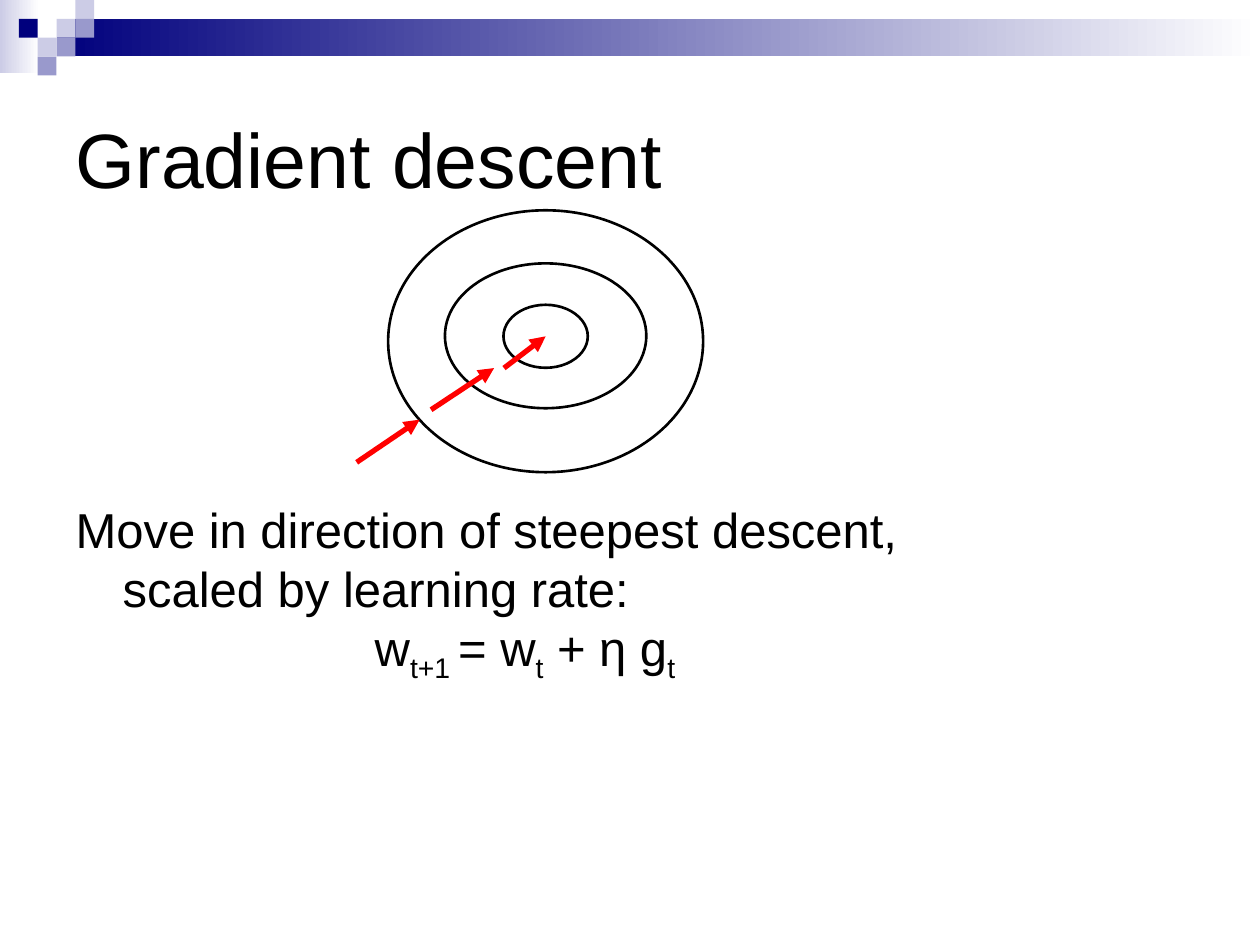
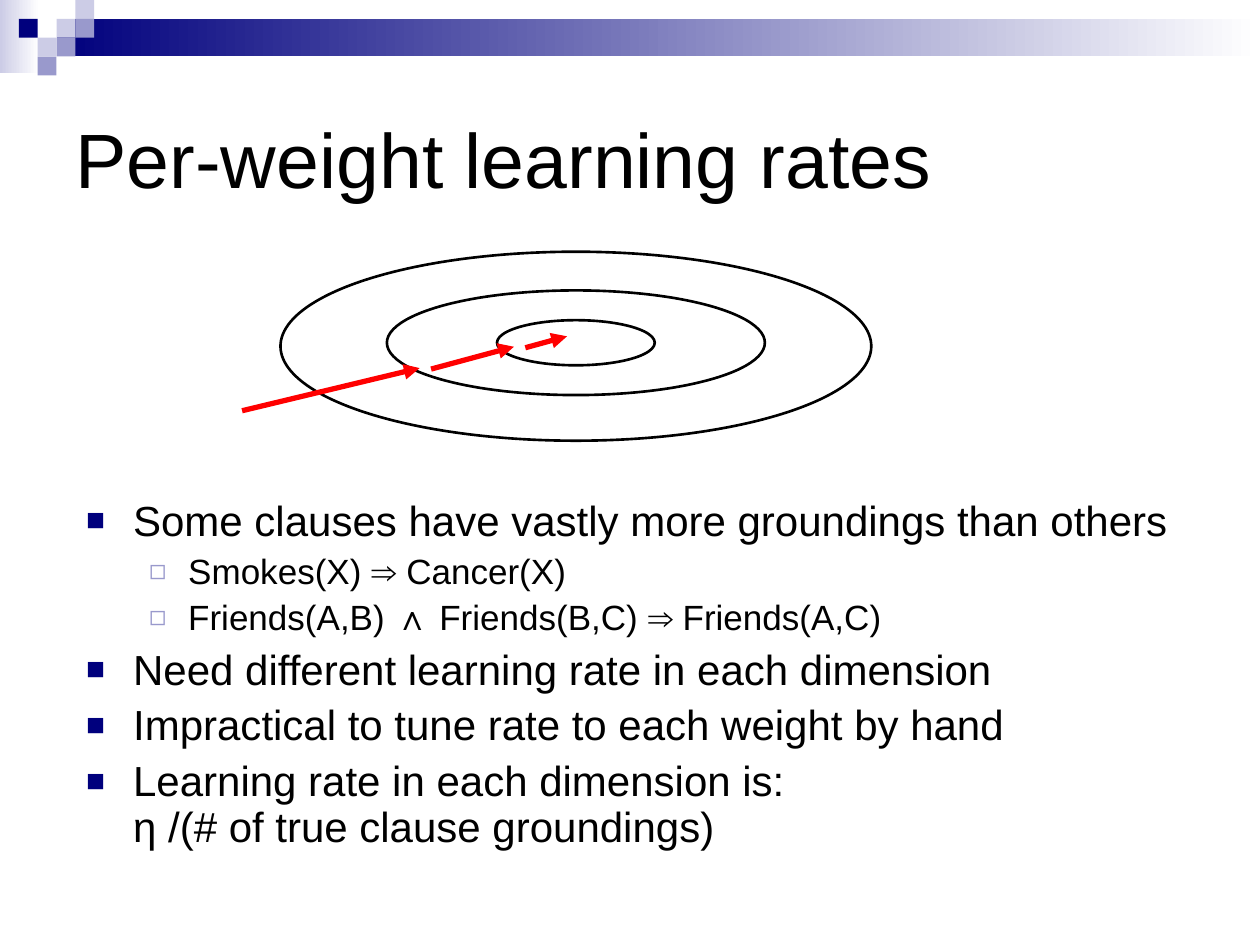
"""Build two slides on gradient descent and per-weight learning rates."""
import lxml.etree
import pptx
import pptx.dml.color
import pptx.enum.shapes
import pptx.enum.text
import pptx.oxml.ns
import pptx.util

Cm = pptx.util.Cm
Pt = pptx.util.Pt
qn = pptx.oxml.ns.qn


def rgb(hex_code):
    return pptx.dml.color.RGBColor.from_string(hex_code)


def add_xml(parent, tag, **attributes):
    return lxml.etree.SubElement(parent, qn(tag), attributes)


class Deck:
    FONT = "Arial"
    BLACK, RED, WHITE = "000000", "FF0000", "FFFFFF"
    NAVY, LAVENDER, PALE = "00007D", "9999CC", "CCCCE6"
    CELL = 0.38
    MOSAIC = [(3, 1, PALE), (4, 0, PALE), (4, 1, LAVENDER), (2, 2, PALE),
              (1, 1, NAVY), (3, 2, LAVENDER), (2, 3, LAVENDER)]
    LEVELS = [dict(size=24, indent=0.95, hang=0.95, before=6,
                   mark="■", colour=NAVY, scale="75000"),
              dict(size=20, indent=2.06, hang=0.79, before=5,
                   mark="◻", colour=LAVENDER, scale="80000")]

    def __init__(self):
        self.file = pptx.Presentation()
        self.file.slide_width, self.file.slide_height = Cm(25.4), Cm(19.05)
        self.layout = self.file.slide_layouts[1]
        self.slide = None

    def start(self, title):
        first = self.slide is None
        self.slide = self.file.slides.add_slide(self.layout)
        if first:
            self.header()
        heading = self.place(self.slide.shapes.title, 1.27, 1.27, 22.86, 3.81)
        heading.vertical_anchor = pptx.enum.text.MSO_ANCHOR.MIDDLE
        heading.text = title
        heading.paragraphs[0].alignment = pptx.enum.text.PP_ALIGN.LEFT
        self.style_runs(heading.paragraphs[0], 44)

    def header(self):
        parts = [self.fade(0, 0, 0.79, 1.47, self.PALE),
                 self.fade(1.14, 0.38, 24.26, 0.76, self.NAVY)]
        for column, row, colour in self.MOSAIC:
            square = self.shape("RECTANGLE", column * self.CELL, row * self.CELL,
                                self.CELL, self.CELL)
            square.fill.solid()
            square.fill.fore_color.rgb = rgb(colour)
            parts.append(square)
        for number, part in enumerate(parts, 101):
            part.element.nvSpPr.cNvPr.set("id", str(number))
            self.layout.shapes.element.append(part.element)

    def fade(self, left, top, width, height, colour):
        band = self.shape("RECTANGLE", left, top, width, height)
        band.fill.gradient()
        band.fill.gradient_angle = 0
        for stop, shade in zip(band.fill.gradient_stops, (colour, self.WHITE)):
            stop.color.rgb = rgb(shade)
        return band

    def shape(self, kind, left, top, width, height):
        shape = self.slide.shapes.add_shape(
            getattr(pptx.enum.shapes.MSO_SHAPE, kind),
            Cm(left), Cm(top), Cm(width), Cm(height))
        shape.shadow.inherit = False
        shape.line.fill.background()
        return shape

    def place(self, holder, left, top, width, height):
        holder.left, holder.top = Cm(left), Cm(top)
        holder.width, holder.height = Cm(width), Cm(height)
        frame = holder.text_frame
        frame.word_wrap = True
        frame.auto_size = pptx.enum.text.MSO_AUTO_SIZE.NONE
        return frame

    def body(self, left, top, width, height):
        return self.place(self.slide.placeholders[1], left, top, width, height)

    def style_runs(self, paragraph, size):
        for run in paragraph.runs:
            run.font.name = self.FONT
            run.font.size = Pt(size)
            run.font.color.rgb = rgb(self.BLACK)
        for line_break in paragraph._p.findall(qn("a:br")):
            add_xml(line_break, "a:rPr", sz=str(size * 100))

    def indent(self, paragraph, left, hang):
        properties = paragraph._p.get_or_add_pPr()
        properties.set("marL", str(Cm(left)))
        properties.set("indent", str(-Cm(hang)))
        return properties

    def plain(self, paragraph, left, hang, size=28):
        add_xml(self.indent(paragraph, left, hang), "a:buNone")
        paragraph.space_before = Pt(0)
        self.style_runs(paragraph, size)

    def rule(self, frame, statement, pieces):
        frame.text = statement
        self.plain(frame.paragraphs[0], 0.95, 0.95)
        formula = frame.add_paragraph()
        for text, is_subscript in pieces:
            run = formula.add_run()
            run.text = text
            if is_subscript:
                run.font._element.set("baseline", "-25000")
        self.plain(formula, 6.03, 0)

    def bullets(self, frame, items):
        for index, (level, text) in enumerate(items):
            look = self.LEVELS[level]
            paragraph = frame.add_paragraph() if index else frame.paragraphs[0]
            paragraph.text = text
            paragraph.level = level
            properties = self.indent(paragraph, look["indent"], look["hang"])
            add_xml(add_xml(properties, "a:buClr"), "a:srgbClr", val=look["colour"])
            add_xml(properties, "a:buSzPct", val=look["scale"])
            add_xml(properties, "a:buFont", typeface=self.FONT)
            add_xml(properties, "a:buChar", char=look["mark"])
            paragraph.line_spacing = 0.9
            paragraph.space_before = Pt(look["before"] if index else 0)
            self.style_runs(paragraph, look["size"])

    def contours(self, centre_x, rings):
        for centre_y, width, height in rings:
            ring = self.shape("OVAL", centre_x - width / 2, centre_y - height / 2,
                              width, height)
            ring.fill.background()
            ring.line.color.rgb = rgb(self.BLACK)
            ring.line.width = Pt(1.5)

    def steps(self, arrows):
        for ends in arrows:
            step = self.slide.shapes.add_connector(
                pptx.enum.shapes.MSO_CONNECTOR.STRAIGHT, *map(Cm, ends))
            step.line.color.rgb = rgb(self.RED)
            step.line.width = Pt(3)
            add_xml(step.line._get_or_add_ln(), "a:tailEnd", type="triangle")
            add_xml(step.element.spPr, "a:effectLst")


def main():
    deck = Deck()

    deck.start("Gradient descent")
    deck.rule(
        deck.body(1.27, 9.95, 22.86, 6.35),
        "Move in direction of steepest descent,\vscaled by learning rate:",
        [("w", False), ("t+1 ", True), ("= w", False), ("t", True),
         (" + η g", False), ("t", True)])
    deck.contours(11, [(6.88, 6.35, 5.28), (6.77, 4.06, 2.92), (6.78, 1.7, 1.27)])
    deck.steps([(8.69, 8.26, 9.96, 7.42), (10.16, 7.42, 11, 6.78),
                (7.19, 9.32, 8.46, 8.46)])

    deck.start("Per-weight learning rates")
    deck.bullets(deck.body(1.48, 9.95, 22.65, 7.82), [
        (0, "Some clauses have vastly more groundings than others"),
        (1, "Smokes(X) ⇒ Cancer(X)"),
        (1, "Friends(A,B) ∧ Friends(B,C) ⇒ Friends(A,C)"),
        (0, "Need different learning rate in each dimension"),
        (0, "Impractical to tune rate to each weight by hand"),
        (0, "Learning rate in each dimension is:\vη /(# of true clause groundings)")])
    deck.contours(11.61, [(6.98, 11.91, 3.81), (6.91, 7.62, 2.11), (6.91, 3.18, 0.91)])
    deck.steps([(4.88, 8.28, 8.46, 7.42), (8.69, 7.44, 10.36, 6.99),
                (10.59, 7.01, 11.43, 6.78)])

    deck.file.save("out.pptx")


if __name__ == "__main__":
    main()
